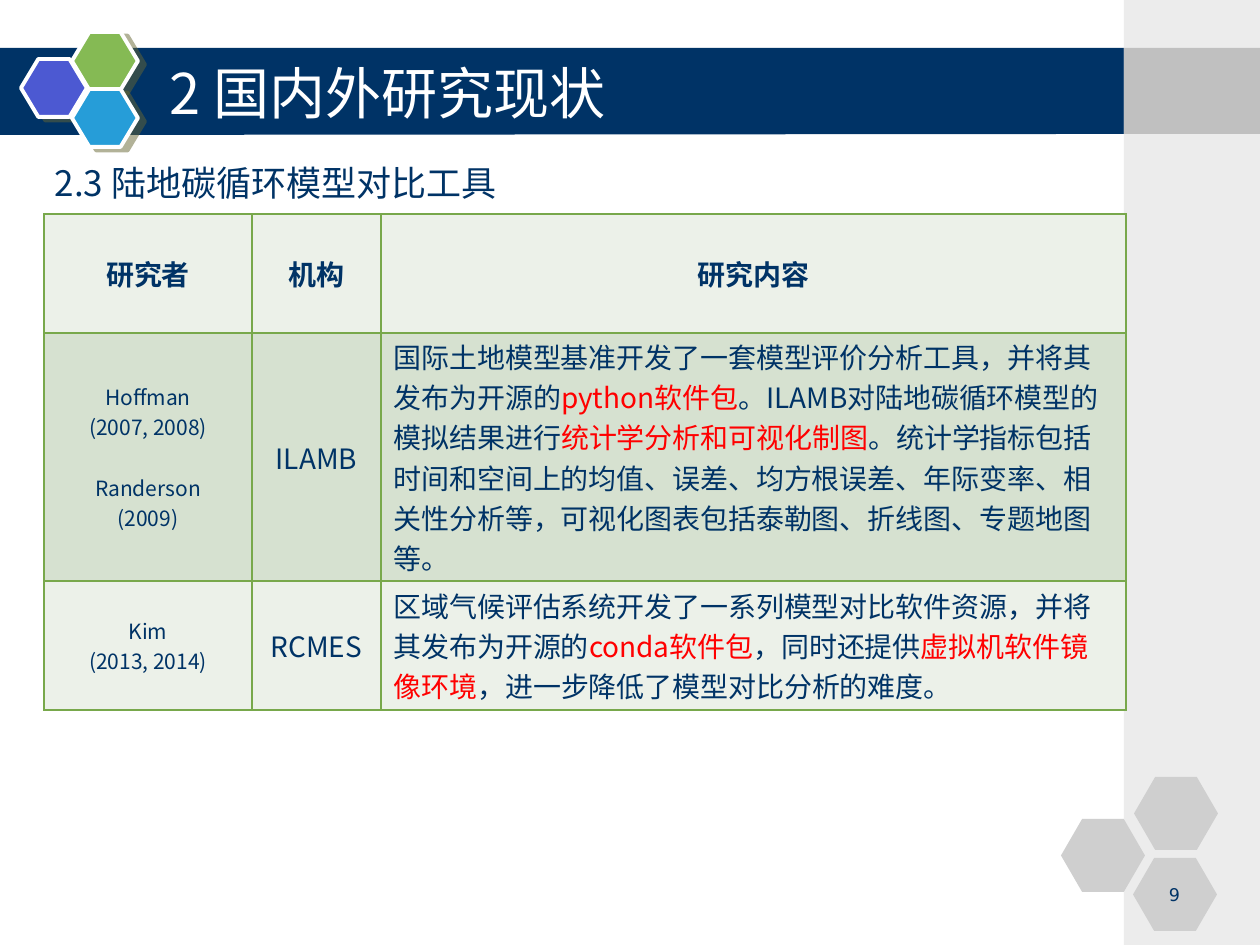
import pptx
import pptx.util
import pptx.dml.color
import pptx.enum.shapes
import pptx.enum.text
import pptx.oxml
import lxml.etree

NS = 'xmlns:a="http://schemas.openxmlformats.org/drawingml/2006/main"'
NOTO = "Noto Sans CJK SC"
NAVY = "003366"
hue = pptx.dml.color.RGBColor.from_string
kind = pptx.enum.shapes.MSO_SHAPE
side = pptx.enum.text.PP_ALIGN
mid = pptx.enum.text.MSO_ANCHOR.MIDDLE


def px(*nums):
    return [round(num * 914400 / 126) for num in nums]


def write(frame, text, size, color=NAVY, align=side.LEFT, bold=False, face=NOTO):
    frame.word_wrap = True
    for i, line in enumerate(text.split("\n")):
        para = frame.paragraphs[0] if i == 0 else frame.add_paragraph()
        para.alignment = align
        para.space_before = pptx.util.Pt(0)
        props = para._p.get_or_add_pPr()
        props.set("marL", "0")
        props.set("indent", "0")
        props.append(pptx.oxml.parse_xml(f"<a:buNone {NS}/>"))
        font = para.font
        font.name = face
        font.size = pptx.util.Pt(size)
        font.bold = bold
        font.color.rgb = hue(color)
        latin = props.find(".//{*}latin")
        latin.addnext(pptx.oxml.parse_xml(f'<a:ea {NS} typeface="{face}"/>'))
        for j, part in enumerate(line.split("|")):
            run = para.add_run()
            run.text = part
            if j % 2:
                run.font.color.rgb = hue("FF0000")


deck = pptx.Presentation()
deck.slide_width, deck.slide_height = px(1260, 945)
slide = deck.slides.add_slide(deck.slide_layouts[1])
shapes = slide.shapes

pen = shapes.build_freeform(*px(-4, 48), scale=1.0)
pen.add_line_segments([px(1126, 48), px(1125, 134), px(-4, 135)], close=True)
band = pen.convert_to_shape()
band.shadow.inherit = False
band.fill.solid()
band.fill.fore_color.rgb = hue(NAVY)
band.line.fill.background()

art = [
    (kind.HEXAGON, 21, 59, 66, 58, "4C59D2", 0.3),
    (kind.HEXAGON, 72, 32, 66, 58, "85BA54", 0.3),
    (kind.HEXAGON, 72, 89, 66, 58, "269DD8", 0.3),
    (kind.RECTANGLE, 1124, 0, 136, 945, "ECECEC", None),
    (kind.RECTANGLE, 1124, 48, 136, 86, "C0C0C0", None),
    (kind.HEXAGON, 1061, 819, 84, 73, "CFCFCF", 0.29),
    (kind.HEXAGON, 1134, 777, 84, 73, "CFCFCF", 0.29),
    (kind.HEXAGON, 1133, 858, 84, 73, "CFCFCF", 0.29),
]
for form, left, top, width, height, color, bend in art:
    shape = shapes.add_shape(form, *px(left, top, width, height))
    shape.shadow.inherit = False
    shape.fill.solid()
    shape.fill.fore_color.rgb = hue(color)
    shape.line.fill.background()
    if bend:
        shape.adjustments[0] = bend
    if bend == 0.3:
        shape.line.color.rgb = hue("FFFFFF")
        shape.line.width = pptx.util.Pt(2.25)
        glow = shape.element.spPr.find("{*}effectLst")
        glow.append(pptx.oxml.parse_xml(
            f'<a:outerShdw {NS} dist="57150" dir="1620000" algn="ctr" rotWithShape="0">'
            '<a:srgbClr val="666633"><a:alpha val="50000"/></a:srgbClr></a:outerShdw>'))

title = shapes.title
body = slide.placeholders[1]
heads = [
    (title, (157, 53, 935, 78), "2 国内外研究现状", 32, "FFFFFF"),
    (body, (42, 147, 945, 77), "2.3 陆地碳循环模型对比工具", 20, NAVY),
]
for box, place, text, size, color in heads:
    box.left, box.top, box.width, box.height = px(*place)
    write(box.text_frame, text, size, color)
    box.text_frame.auto_size = pptx.enum.text.MSO_AUTO_SIZE.NONE
    box.element.getparent().append(box.element)
title.text_frame.vertical_anchor = mid
body.text_frame.paragraphs[0].line_spacing = 1.2

rows = [
    ("研究者", "机构", "研究内容"),
    ("Hoffman\n(2007, 2008)\nRanderson\n(2009)", "ILAMB",
     "国际土地模型基准开发了一套模型评价分析工具，并将其发布为开源的|python软件包|"
     "。ILAMB对陆地碳循环模型的模拟结果进行|统计学分析和可视化制图|"
     "。统计学指标包括时间和空间上的均值、误差、均方根误差、年际变率、相关性分析等，"
     "可视化图表包括泰勒图、折线图、专题地图等。"),
    ("Kim\n(2013, 2014)", "RCMES",
     "区域气候评估系统开发了一系列模型对比软件资源，并将其发布为开源的|conda软件包|"
     "，同时还提供|虚拟机软件镜像环境|，进一步降低了模型对比分析的难度。"),
]
table = shapes.add_table(3, 3, *px(44, 214, 1082, 496)).table
for col, width in zip(table.columns, px(208, 129, 745)):
    col.width = width
for row, height in zip(table.rows, px(119, 248, 129)):
    row.height = height
for r, row in enumerate(rows):
    for c, text in enumerate(row):
        cell = table.cell(r, c)
        cell.vertical_anchor = mid
        cell.margin_left = cell.margin_right = pptx.util.Inches(0.1)
        cell.margin_top = cell.margin_bottom = 0
        size = 12 if r and c == 0 else 16
        align = side.LEFT if r and c == 2 else side.CENTER
        write(cell.text_frame, text, size, align=align, bold=r == 0)
        props = cell._tc.get_or_add_tcPr()
        for edge in "LRTB":
            props.append(pptx.oxml.parse_xml(
                f'<a:ln{edge} {NS} w="12700"><a:solidFill><a:srgbClr val="78A84B"/>'
                f'</a:solidFill></a:ln{edge}>'))
        cell.fill.solid()
        cell.fill.fore_color.rgb = hue("D6E1D0" if r == 1 else "ECF1E9")
names = table.cell(1, 0).text_frame.paragraphs
names[2].space_before = pptx.util.Pt(17.4)

page = shapes.add_textbox(*px(1143, 878, 63, 32))
write(page.text_frame, "9", 10, align=side.CENTER, face="DejaVu Sans")

deck.save("out.pptx")
